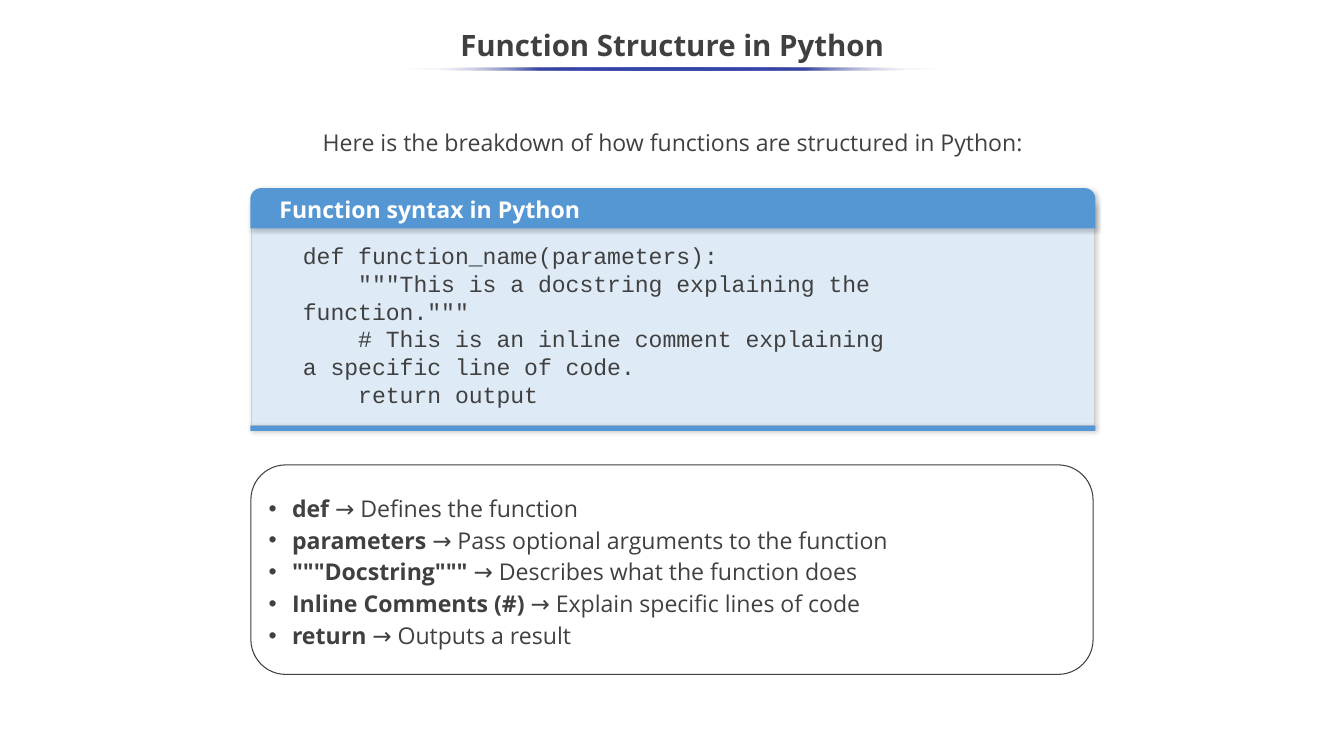
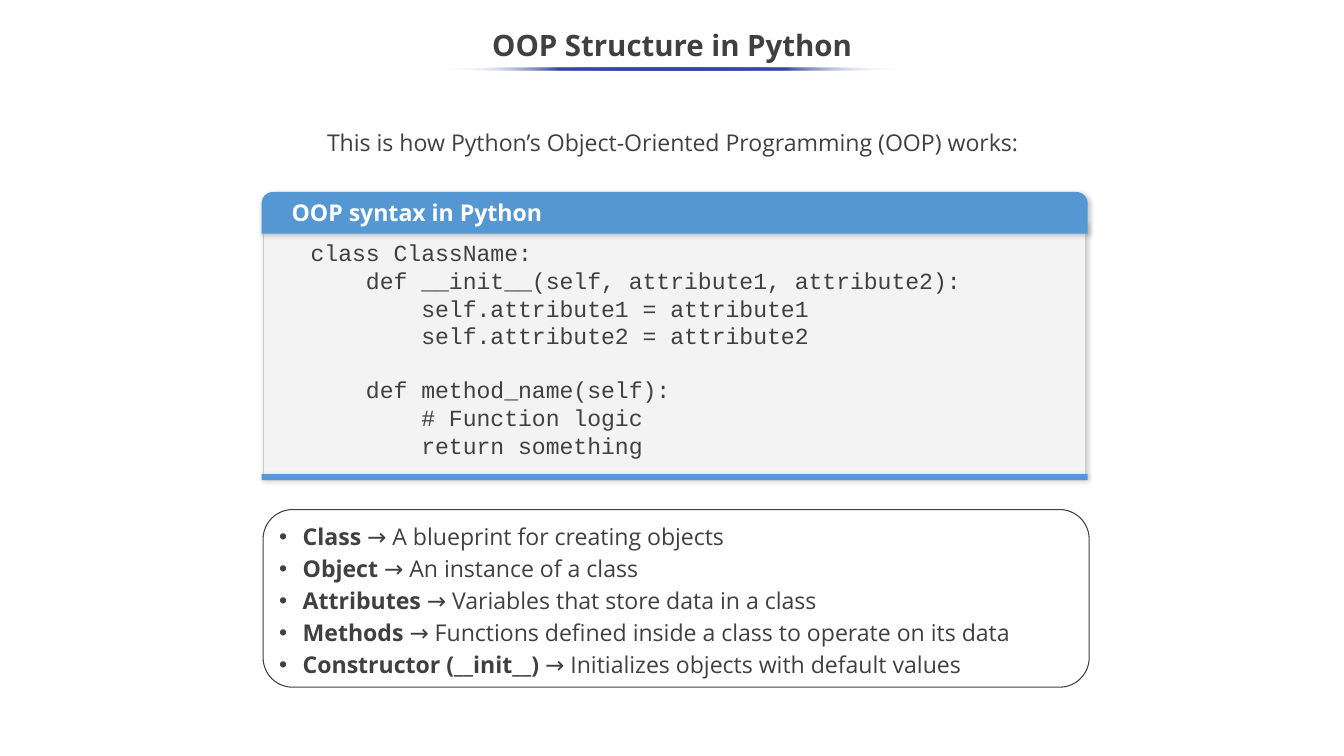
import pptx
import pptx.util
import pptx.dml.color
import pptx.enum.shapes
import pptx.enum.text
import pptx.oxml.ns
import lxml.etree

Cm = pptx.util.Cm
Pt = pptx.util.Pt
qn = pptx.oxml.ns.qn
SHAPE = pptx.enum.shapes.MSO_SHAPE
ALIGN = pptx.enum.text.PP_ALIGN
ANCHOR = pptx.enum.text.MSO_ANCHOR

# Shared look
INK, WHITE, ACCENT = "404040", "FFFFFF", "3645A9"
HEADER_BLUE, FOOT_BLUE, PANEL_EDGE = "5597D3", "5497D4", "CCCCCC"
SANS, MONO = "Open Sans", "Courier New"
CODE_LINE = 24.9  # height of one line of code in points
SLIDE_WIDTH = 45.16


def rgb(hex_colour):
    return pptx.dml.color.RGBColor.from_string(hex_colour)


def write(frame, lines, size=22, font=SANS, colour=INK, bold=False, align=ALIGN.LEFT,
          anchor=ANCHOR.TOP, spacing=None, pad=0.13, bullet=None):
    """Each line is a string, or a (bold term, plain meaning) pair."""
    frame.word_wrap = True
    frame.vertical_anchor = anchor
    frame.margin_left = frame.margin_right = Cm(0.25)
    frame.margin_top = frame.margin_bottom = Cm(pad)
    paragraph, gap = None, 0
    for line in lines:
        if not line:  # an empty code line becomes space before the next one
            gap += CODE_LINE
            continue
        paragraph = frame.add_paragraph() if paragraph else frame.paragraphs[0]
        paragraph.alignment = align
        if spacing:
            paragraph.line_spacing = spacing
        if gap:
            paragraph.space_before, gap = Pt(gap), 0
        if bullet:
            properties = paragraph._p.get_or_add_pPr()
            properties.set("marL", str(Cm(0.79)))
            properties.set("indent", str(-Cm(0.79)))
            lxml.etree.SubElement(properties, qn("a:buFont"), typeface="Arial")
            lxml.etree.SubElement(properties, qn("a:buChar"), char=bullet)
        pieces = [(line, bold)] if isinstance(line, str) else [(line[0], True), (line[1], False)]
        for text, is_bold in pieces:
            run = paragraph.add_run()
            run.text = text
            run.font.size, run.font.name, run.font.bold = Pt(size), font, is_bold
            run.font.color.rgb = rgb(colour)


# Content; places are left, top, width, height in cm
topics = [
    dict(
        title="Function Structure in Python", underline_width=17.81,
        intro="Here is the breakdown of how functions are structured in Python:",
        syntax="Function syntax in Python", syntax_at=(9.14, 6.43, 12.07, 1.14),
        header_at=(8.41, 6.32, 28.4, 1.35), foot_at=(8.41, 14.3, 28.4, 0.18),
        panel_at=(8.46, 6.83, 28.3, 7.47), panel_fill="DEEBF7",
        code_at=(9.93, 7.87, 20.62, 4.22),
        code=['def function_name(parameters):',
              '    """This is a docstring explaining the function."""',
              '    # This is an inline comment explaining a specific line of code.',
              '    return output'],
        terms_at=(8.43, 15.62, 28.3, 7.04),
        terms=[("def", " → Defines the function"),
               ("parameters", " → Pass optional arguments to the function"),
               ('"""Docstring"""', " → Describes what the function does"),
               ("Inline Comments (#)", " → Explain specific lines of code"),
               ("return", " → Outputs a result")],
    ),
    dict(
        title="OOP Structure in Python", underline_width=15.14,
        intro="This is how Python’s Object-Oriented Programming (OOP) works:",
        syntax="OOP syntax in Python", syntax_at=(9.55, 6.53, 9.55, 1.07),
        header_at=(8.79, 6.45, 27.76, 1.4), foot_at=(8.79, 15.93, 27.76, 0.2),
        panel_at=(8.84, 7.47, 27.64, 8.46), panel_fill="F3F3F3",
        code_at=(10.19, 7.77, 27.64, 6.88),
        code=["class ClassName:",
              "    def __init__(self, attribute1, attribute2):",
              "        self.attribute1 = attribute1",
              "        self.attribute2 = attribute2",
              "",
              "    def method_name(self):",
              "        # Function logic",
              "        return something"],
        terms_at=(8.84, 17.12, 27.76, 5.97),
        terms=[("Class", " → A blueprint for creating objects"),
               ("Object", " → An instance of a class"),
               ("Attributes", " → Variables that store data in a class"),
               ("Methods", " → Functions defined inside a class to operate on its data"),
               ("Constructor (__init__)", " → Initializes objects with default values")],
    ),
]

deck = pptx.Presentation()
deck.slide_width, deck.slide_height = Cm(SLIDE_WIDTH), Cm(25.4)

for topic in topics:
    slide = deck.slides.add_slide(deck.slide_layouts[6])

    # Intro and title
    intro = slide.shapes.add_textbox(Cm(3.58), Cm(4.19), Cm(38.05), Cm(2.51))
    write(intro.text_frame, [topic["intro"]], align=ALIGN.CENTER, spacing=1.15, pad=0)
    title = slide.shapes.add_textbox(0, Cm(0.64), Cm(SLIDE_WIDTH), Cm(1.9))
    write(title.text_frame, [topic["title"]], size=28, bold=True, align=ALIGN.CENTER,
          anchor=ANCHOR.MIDDLE, spacing=0.9)

    # Title underline, fading out at both ends
    width = topic["underline_width"]
    underline = slide.shapes.add_shape(
        SHAPE.OVAL, Cm((SLIDE_WIDTH - width) / 2), Cm(2.26), Cm(width), Cm(0.1))
    underline.shadow.inherit = False
    underline.line.fill.background()
    underline.fill.gradient()
    underline.fill.gradient_angle = 180
    stops = underline._element.spPr.find(".//" + qn("a:gsLst"))
    for stop in list(stops):
        stops.remove(stop)
    for percent in (0, 25, 50, 75, 100):
        at_end = percent in (0, 100)
        stop = lxml.etree.SubElement(stops, qn("a:gs"), pos=str(percent * 1000))
        tint = lxml.etree.SubElement(stop, qn("a:srgbClr"), val=WHITE if at_end else ACCENT)
        if at_end:
            lxml.etree.SubElement(tint, qn("a:alpha"), val="0")

    # Code card: panel, foot bar and header, each with a soft shadow
    card = slide.shapes.add_group_shape().shapes
    for kind, place, fill, edge in [
        (SHAPE.RECTANGLE, topic["panel_at"], topic["panel_fill"], PANEL_EDGE),
        (SHAPE.RECTANGLE, topic["foot_at"], FOOT_BLUE, None),
        (SHAPE.ROUND_2_SAME_RECTANGLE, topic["header_at"], HEADER_BLUE, None),
    ]:
        part = card.add_shape(kind, *map(Cm, place))
        part.fill.solid()
        part.fill.fore_color.rgb = rgb(fill)
        if edge:
            part.line.color.rgb = rgb(edge)
            part.line.width = Pt(0.75)
        else:
            part.line.fill.background()
        if kind == SHAPE.ROUND_2_SAME_RECTANGLE:
            part.adjustments[0] = 0.275
        part.shadow.inherit = False
        effects = part._element.spPr.find(qn("a:effectLst"))
        shadow = lxml.etree.SubElement(
            effects, qn("a:outerShdw"), blurRad=str(Pt(4.5)), dist=str(Pt(1.5)),
            dir=str(47 * 60000), algn="tl", rotWithShape="0")
        shade = lxml.etree.SubElement(shadow, qn("a:srgbClr"), val="000000")
        lxml.etree.SubElement(shade, qn("a:alpha"), val="20000")

    code = card.add_textbox(*map(Cm, topic["code_at"]))
    write(code.text_frame, topic["code"], font=MONO, pad=0.25)
    syntax = card.add_textbox(*map(Cm, topic["syntax_at"]))
    write(syntax.text_frame, [topic["syntax"]], colour=WHITE, bold=True)

    # Explained terms
    terms = slide.shapes.add_shape(SHAPE.ROUNDED_RECTANGLE, *map(Cm, topic["terms_at"]))
    terms.shadow.inherit = False
    terms.fill.background()
    terms.line.color.rgb = rgb(INK)
    terms.line.width = Pt(1)
    write(terms.text_frame, topic["terms"], anchor=ANCHOR.MIDDLE, spacing=1.15, bullet="•")

deck.save("out.pptx")
